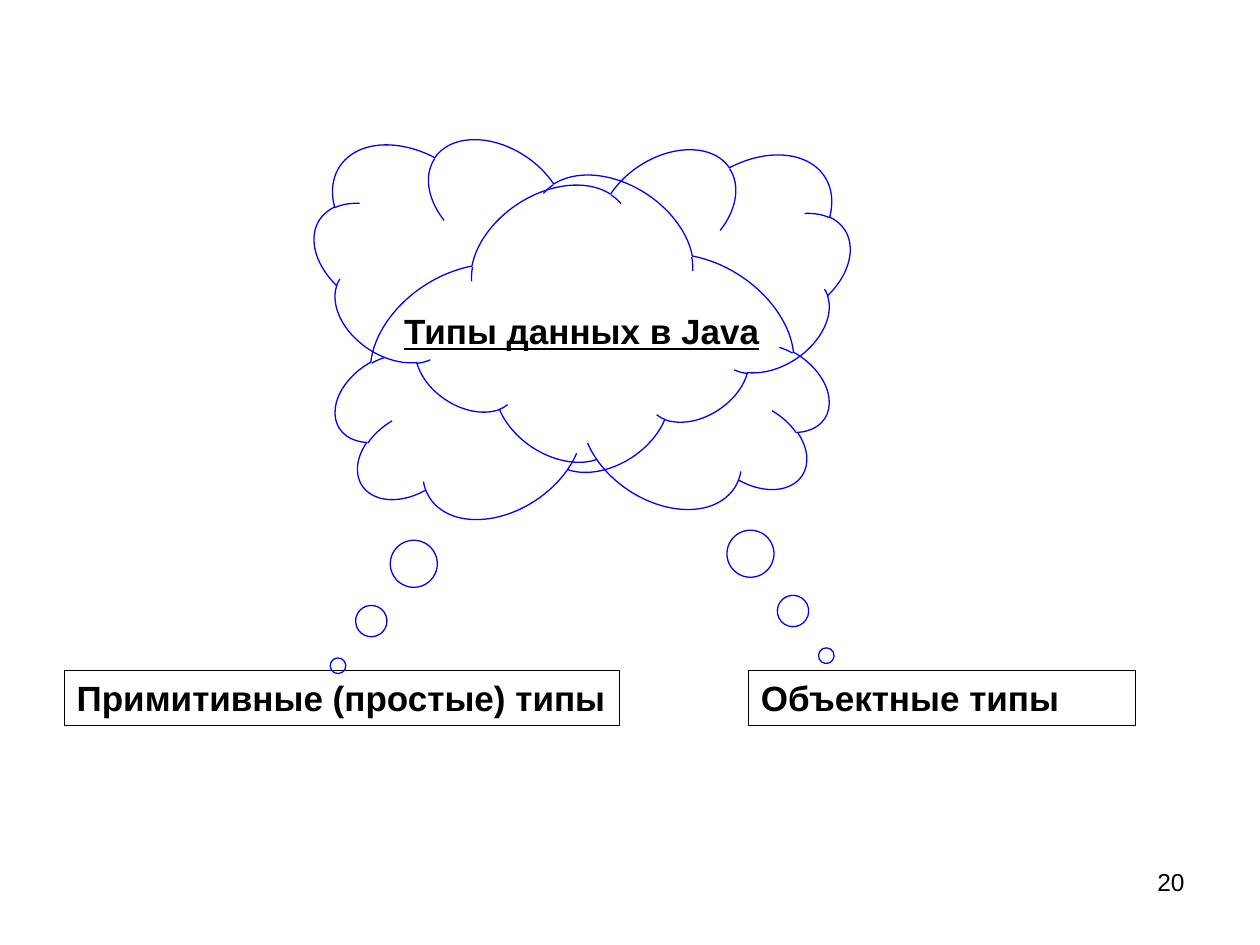
"""Builds a slide on Java data types: two thought clouds pointing at two labelled boxes."""
from pptx import Presentation
from pptx.dml.color import RGBColor
from pptx.enum.shapes import MSO_SHAPE
from pptx.enum.text import MSO_ANCHOR, PP_ALIGN
from pptx.util import Inches, Pt

RECT, CLOUD = MSO_SHAPE.RECTANGLE, MSO_SHAPE.CLOUD_CALLOUT
TOP, LEFT, RIGHT = MSO_ANCHOR.TOP, PP_ALIGN.LEFT, PP_ALIGN.RIGHT
COLORS = {"text": "000000", "box": "000000", "cloud": "0000FF"}
FONT = "Arial"

TITLE = ("Типы данных в Java", (3.11, 2.41, 3.15, 0.44))
TYPES = [
    ("Примитивные (простые) типы", (0.51, 5.32, 4.41, 0.44)),
    ("Объектные типы", (5.94, 5.32, 3.07, 0.44)),
]
NUMBER = ("20", (7.17, 6.83, 2.33, 0.52))
CLOUD_SIZE = (4.41, 2.24)
CLOUD_TILT = 146.7
CLOUD_TAIL = (-0.715, -0.514)
CLOUDS = [((2.35, 1.39), False), ((2.48, 1.47), True)]


def rgb(name):
    return RGBColor.from_string(COLORS[name])


def add_outline(slide, kind, at, color):
    s = slide.shapes.add_shape(kind, *map(Inches, at))
    s.shadow.inherit = False
    s.fill.background()
    s.line.color.rgb = rgb(color)
    s.line.width = Pt(0.75)
    return s


def add_text(s, text, size=20, bold=True, underline=False, align=LEFT):
    tf = s.text_frame
    tf.word_wrap = True
    tf.vertical_anchor = TOP
    p = tf.paragraphs[0]
    p.alignment = align
    r = p.add_run()
    r.text = text
    r.font.name = FONT
    r.font.size = Pt(size)
    r.font.bold = bold
    r.font.underline = underline
    r.font.color.rgb = rgb("text")


def add_cloud(slide, corner, mirrored):
    s = add_outline(slide, CLOUD, corner + CLOUD_SIZE, "cloud")
    for i, value in enumerate(CLOUD_TAIL):
        s.adjustments[i] = value
    s.rotation = CLOUD_TILT if mirrored else 360 - CLOUD_TILT
    if mirrored:
        s.element.spPr.xfrm.set("flipH", "1")


def main():
    prs = Presentation()
    prs.slide_width, prs.slide_height = Inches(10), Inches(7.5)
    slide = prs.slides.add_slide(prs.slide_layouts[6])

    text, at = TITLE
    add_text(slide.shapes.add_textbox(*map(Inches, at)), text, underline=True)
    for text, at in TYPES:
        add_text(add_outline(slide, RECT, at, "box"), text)
    for corner, mirrored in CLOUDS:
        add_cloud(slide, corner, mirrored)
    text, at = NUMBER
    add_text(slide.shapes.add_textbox(*map(Inches, at)), text, 14, bold=False, align=RIGHT)

    prs.save("out.pptx")


if __name__ == "__main__":
    main()
